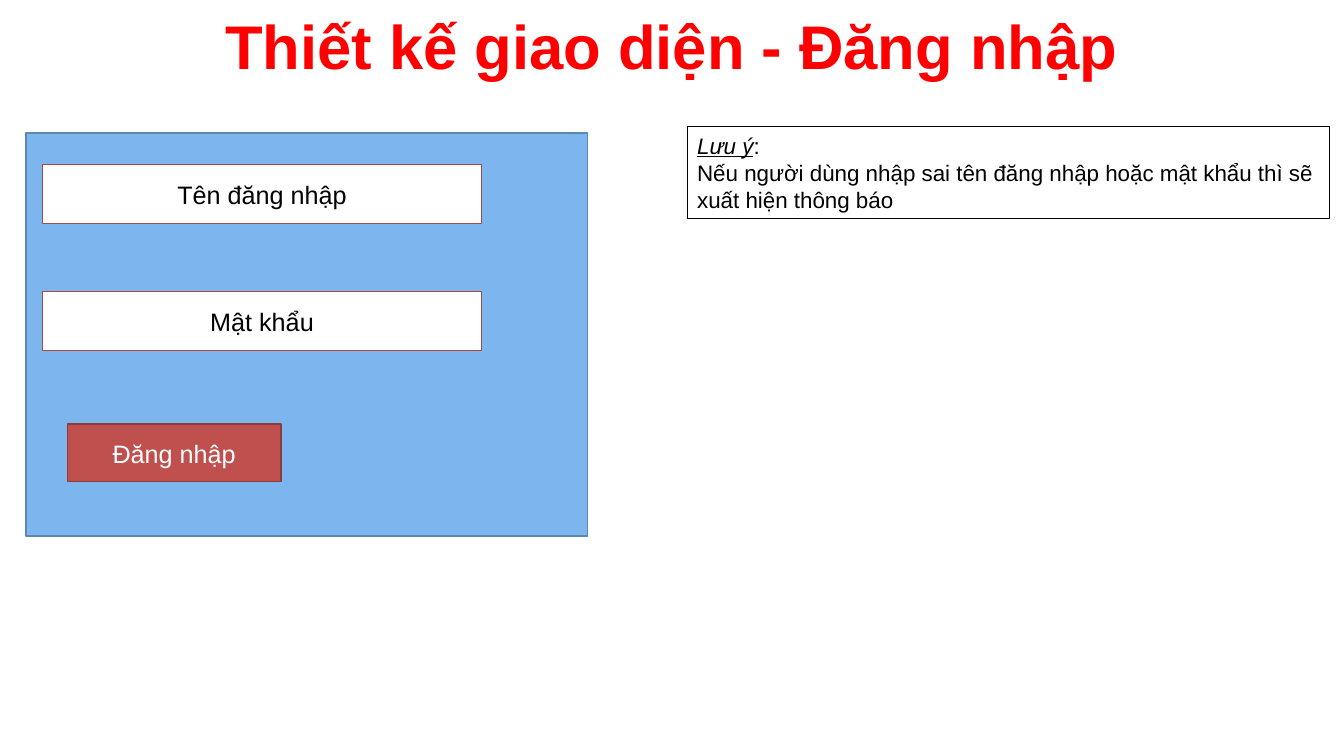
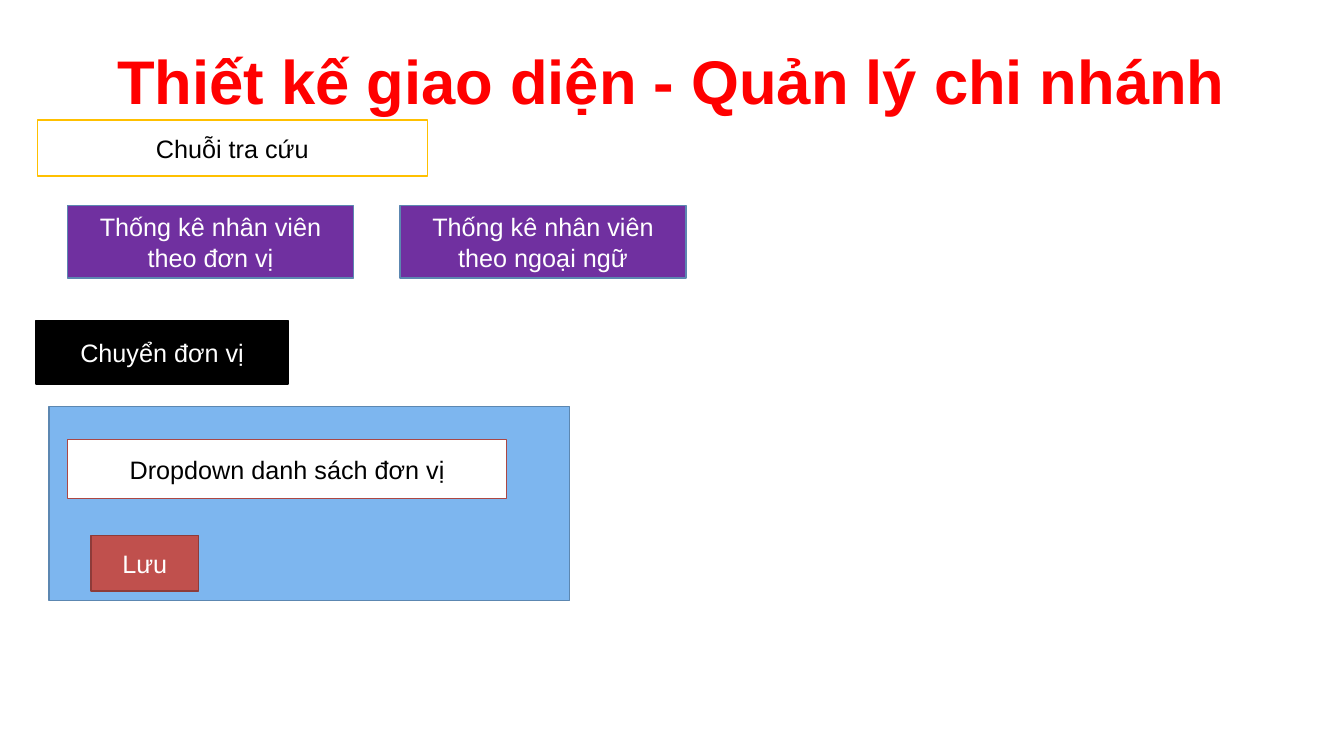
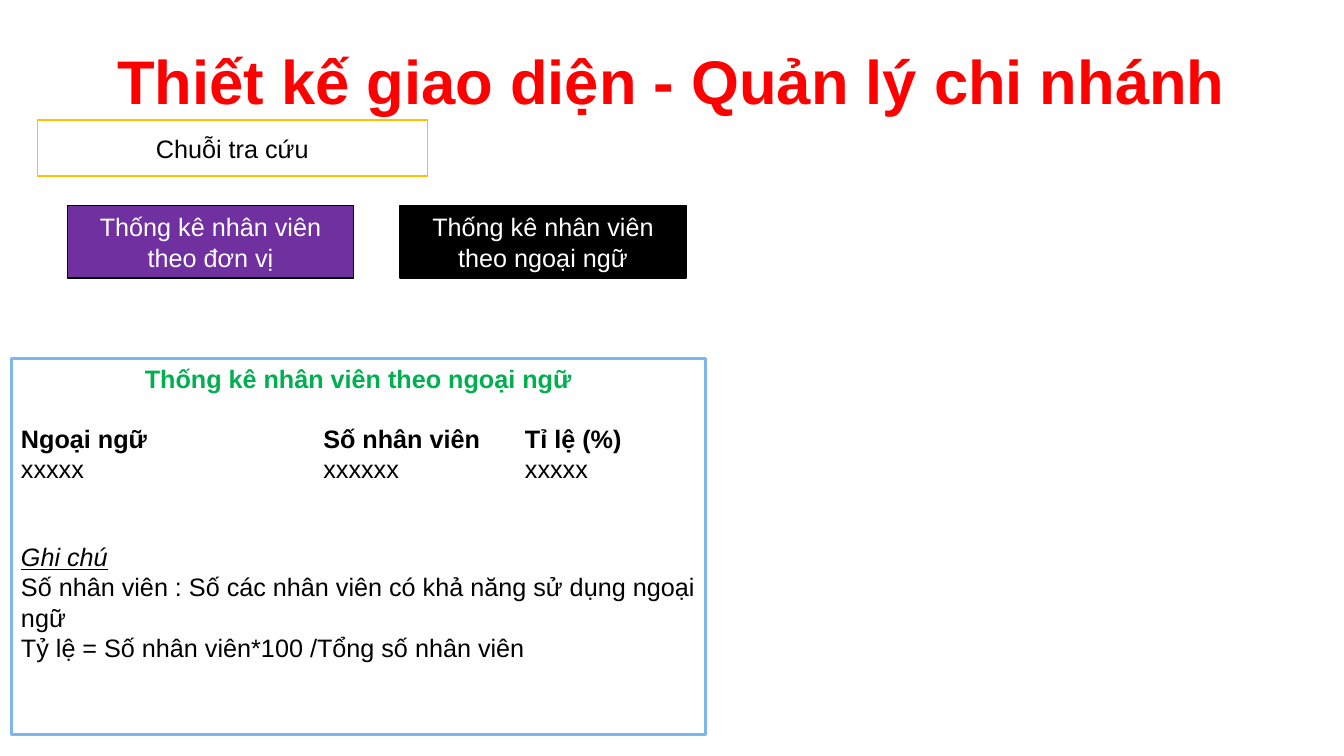
from lxml.etree import SubElement
from pptx import Presentation
from pptx.dml.color import RGBColor
from pptx.enum.shapes import MSO_SHAPE
from pptx.enum.text import MSO_ANCHOR, PP_ALIGN
from pptx.oxml.ns import qn
from pptx.util import Cm, Pt

FONT = "Arial"
BLACK = RGBColor(0x00, 0x00, 0x00)
WHITE = RGBColor(0xFF, 0xFF, 0xFF)
RED = RGBColor(0xFF, 0x00, 0x00)
GREEN = RGBColor(0x00, 0xB0, 0x50)
GOLD = RGBColor(0xFF, 0xC0, 0x00)
PURPLE = RGBColor(0x70, 0x30, 0xA0)
SKY = RGBColor(0x7D, 0xB6, 0xEF)
STEEL = RGBColor(0x5C, 0x87, 0xB1)
BRICK = RGBColor(0xC0, 0x50, 0x4D)
BRICK_EDGE = RGBColor(0xAC, 0x47, 0x44)
BRICK_DARK = RGBColor(0x8E, 0x3B, 0x39)

# Box styles: fill, line, text colour
PANEL = (SKY, STEEL, WHITE)
FIELD = (WHITE, BRICK_EDGE, BLACK)
BUTTON = (BRICK, BRICK_DARK, WHITE)
SEARCH = (WHITE, GOLD, BLACK)
STATISTIC = (PURPLE, STEEL, WHITE)
STATISTIC_IDLE = (PURPLE, BLACK, WHITE)
SELECTED = (BLACK, BLACK, WHITE)

# Shared sizes and places, in centimetres
FIELD_SIZE = (11.07, 1.5)
STATISTIC_SIZE = (7.21, 1.83)
STATISTIC_LEFT, STATISTIC_TOP, STATISTIC_STEP = 1.7, 5.18, 8.38
REPORT_TABS = (7.62, 12.7)
LINE_HEIGHT = 20.7  # points, one line of 18 pt text

# Content
BRANCH_TITLE = "Thiết kế giao diện - Quản lý chi nhánh"
STATISTICS = ["Thống kê nhân viên theo đơn vị", "Thống kê nhân viên theo ngoại ngữ"]


def branch_boxes(*statistic_styles):
    """Search field and the row of statistic buttons."""
    row = [
        (text, (STATISTIC_LEFT + index * STATISTIC_STEP, STATISTIC_TOP), STATISTIC_SIZE, style)
        for index, (text, style) in enumerate(zip(STATISTICS, statistic_styles))
    ]
    return [("Chuỗi tra cứu", (0.94, 3.02), (9.83, 1.42), SEARCH)] + row


# Note paragraphs: spans of (text, look), blank lines above
LOGIN_NOTE = [
    ([("Lưu ý", "term"), (":", "")], 0),
    ([("Nếu người dùng nhập sai tên đăng nhập hoặc mật khẩu thì sẽ xuất hiện thông báo", "")], 0),
]
LANGUAGE_REPORT = [
    ([(STATISTICS[1], "heading")], 0),
    ([("Ngoại ngữ\tSố nhân viên\tTỉ lệ (%)", "bold")], 1),
    ([("xxxxx\txxxxxx\txxxxx", "")], 0),
    ([("Ghi chú", "term")], 2),
    ([("Số nhân viên : Số các nhân viên có khả năng sử dụng ngoại ngữ", "")], 0),
    ([("Tỷ lệ = Số nhân viên*100 /Tổng số nhân viên", "")], 0),
]

SLIDES = [
    {
        "title": "Thiết kế giao diện - Đăng nhập",
        "title_top": -0.46,
        "boxes": [
            ("", (0.66, 3.35), (14.15, 10.16), PANEL),
            ("Tên đăng nhập", (1.07, 4.14), FIELD_SIZE, FIELD),
            ("Mật khẩu", (1.07, 7.34), FIELD_SIZE, FIELD),
            ("Đăng nhập", (1.7, 10.69), (5.38, 1.45), BUTTON),
        ],
        "note": (LOGIN_NOTE, (17.32, 3.2), (16.18, 2.31), 16, BLACK, 0.75),
    },
    {
        "title": BRANCH_TITLE,
        "title_top": 0.41,
        "boxes": branch_boxes(STATISTIC, STATISTIC) + [
            ("Chuyển đơn vị", (0.91, 8.08), (6.35, 1.6), SELECTED),
            ("", (1.24, 10.24), (13.11, 4.9), PANEL),
            ("Dropdown danh sách đơn vị", (1.7, 11.07), FIELD_SIZE, FIELD),
            ("Lưu", (2.29, 13.49), (2.72, 1.4), BUTTON),
        ],
    },
    {
        "title": BRANCH_TITLE,
        "title_top": 0.41,
        "boxes": branch_boxes(STATISTIC_IDLE, SELECTED),
        "note": (LANGUAGE_REPORT, (0.28, 9.04), (17.5, 9.47), 18, SKY, 2.25),
    },
]


def format_font(font, size, color, bold=False):
    font.name, font.size, font.bold = FONT, Pt(size), bold
    font.color.rgb = color


def place(position, size):
    return [Cm(length) for length in (*position, *size)]


def set_title(slide, text, top):
    title = slide.shapes.title
    title.left, title.top, title.width, title.height = place((1.7, top), (30.48, 3.18))
    title.text_frame.text = text
    title.text_frame.vertical_anchor = MSO_ANCHOR.MIDDLE
    para = title.text_frame.paragraphs[0]
    para.alignment = PP_ALIGN.CENTER
    format_font(para.runs[0].font, 44, RED, bold=True)


def add_box(slide, text, position, size, style):
    fill, line, color = style
    box = slide.shapes.add_shape(MSO_SHAPE.RECTANGLE, *place(position, size))
    box.shadow.inherit = False
    box.fill.solid()
    box.fill.fore_color.rgb = fill
    box.line.color.rgb = line
    box.line.width = Pt(1)
    if text:
        frame = box.text_frame
        frame.text = text
        frame.vertical_anchor = MSO_ANCHOR.MIDDLE
        frame.paragraphs[0].alignment = PP_ALIGN.CENTER
        format_font(frame.paragraphs[0].runs[0].font, 18, color)


def set_tabs(para, stops):
    tab_list = SubElement(para._p.get_or_add_pPr(), qn("a:tabLst"))
    for stop in stops:
        SubElement(tab_list, qn("a:tab"), pos=str(Cm(stop)), algn="l")


def add_note(slide, paragraphs, position, size, font_size, line, line_width):
    box = slide.shapes.add_textbox(*place(position, size))
    box.line.color.rgb = line
    box.line.width = Pt(line_width)
    frame = box.text_frame
    frame.word_wrap = True
    for index, (spans, blank_lines) in enumerate(paragraphs):
        para = frame.add_paragraph() if index else frame.paragraphs[0]
        para.space_before = Pt(blank_lines * LINE_HEIGHT)
        for text, look in spans:
            span = para.add_run()
            span.text = text
            color = GREEN if look == "heading" else BLACK
            format_font(span.font, font_size, color, bold=look in ("heading", "bold"))
            span.font.italic = span.font.underline = look == "term"
            if look == "heading":
                para.alignment = PP_ALIGN.CENTER
            if "\t" in text:
                set_tabs(para, REPORT_TABS)


def main():
    deck = Presentation()
    deck.slide_width, deck.slide_height = Cm(33.87), Cm(19.05)
    title_only = deck.slide_layouts[5]
    for content in SLIDES:
        slide = deck.slides.add_slide(title_only)
        set_title(slide, content["title"], content["title_top"])
        for box in content["boxes"]:
            add_box(slide, *box)
        if "note" in content:
            add_note(slide, *content["note"])
    deck.save("out.pptx")


if __name__ == "__main__":
    main()
